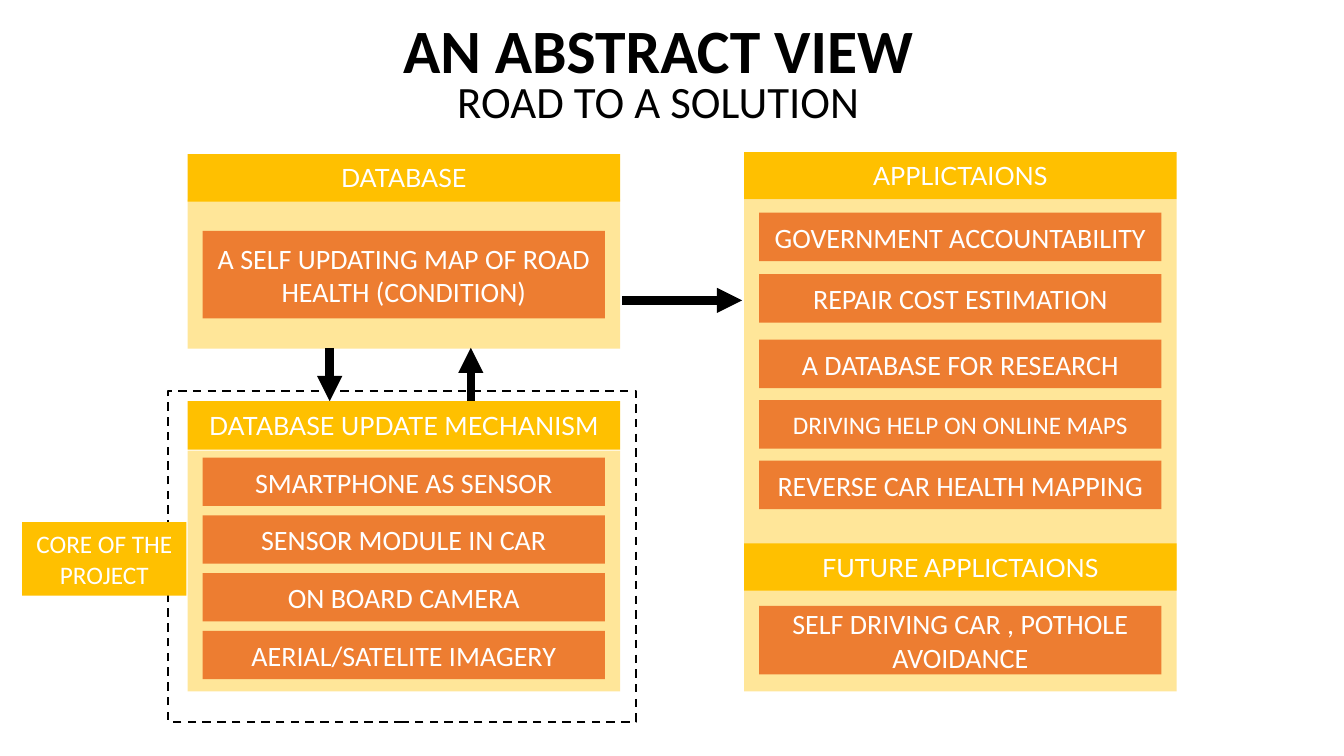
from dataclasses import dataclass

from lxml import etree
from pptx import Presentation
from pptx import util as u
from pptx.dml.color import RGBColor
from pptx.enum import dml, shapes, text
from pptx.oxml.ns import qn

COLORS = {"panel": "FFE699", "header": "FFC000", "card": "ED7D31",
          "white": "FFFFFF", "black": "000000"}
LEFT_X, RIGHT_X, PANEL_W = 1.86, 7.38, 4.29
CARD_W, CARD_H, CARD_INSET = 3.99, 0.48, 0.15


@dataclass
class Box:
    x: float
    y: float
    w: float
    h: float
    fill: str
    label: str = ""
    size: int = 20
    font: str = "Calibri"


@dataclass
class Arrow:
    x1: float
    y1: float
    x2: float
    y2: float


def panel(x: float, y: float, h: float) -> Box:
    return Box(x, y, PANEL_W, h, "panel")


def header(x: float, y: float, label: str, h: float = 0.47) -> Box:
    return Box(x, y, PANEL_W, h, "header", label, 18, "Lato")


def card(x: float, y: float, label: str, h: float = CARD_H, size: int = 20) -> Box:
    """Orange entry centred in the panel whose left edge is x."""
    return Box(x + CARD_INSET, y, CARD_W, h, "card", label, size)


def color(name: str) -> RGBColor:
    return RGBColor.from_string(COLORS[name])


def write(sp, label: str, *, size: int, font: str = "Calibri", fill: str = "white",
          bold: bool = False, spacing: float = 1.0) -> None:
    tf = sp.text_frame
    tf.word_wrap = True
    tf.vertical_anchor = text.MSO_ANCHOR.MIDDLE
    p = tf.paragraphs[0]
    p.alignment = text.PP_ALIGN.CENTER
    p.line_spacing = spacing
    p.space_before = u.Pt(0)
    r = p.add_run()
    r.text = label
    r.font.size = u.Pt(size)
    r.font.name = font
    r.font.bold = bold
    r.font.color.rgb = color(fill)


def place(sp, x: float, y: float, w: float, h: float) -> None:
    sp.left, sp.top, sp.width, sp.height = map(u.Inches, (x, y, w, h))


def draw_box(s, box: Box) -> None:
    sp = s.shapes.add_shape(shapes.MSO_SHAPE.RECTANGLE,
                            *map(u.Inches, (box.x, box.y, box.w, box.h)))
    sp.shadow.inherit = False
    sp.fill.solid()
    sp.fill.fore_color.rgb = color(box.fill)
    sp.line.fill.background()
    if box.label:
        write(sp, box.label, size=box.size, font=box.font)


def draw_arrow(s, arrow: Arrow) -> None:
    c = s.shapes.add_connector(shapes.MSO_CONNECTOR.STRAIGHT,
                               *map(u.Inches, (arrow.x1, arrow.y1, arrow.x2, arrow.y2)))
    c.line.color.rgb = color("black")
    c.line.width = u.Pt(6)
    etree.SubElement(c.line._get_or_add_ln(), qn("a:tailEnd"), type="triangle")
    etree.SubElement(c._element.spPr, qn("a:effectLst"))


def draw_core_outline(s) -> None:
    sp = s.shapes.add_shape(shapes.MSO_SHAPE.RECTANGLE,
                            *map(u.Inches, (1.67, 3.88, 4.64, 3.28)))
    sp.shadow.inherit = False
    sp.fill.background()
    sp.line.color.rgb = color("black")
    sp.line.width = u.Pt(1.5)
    sp.line.dash_style = dml.MSO_LINE.DASH


PANELS = [panel(LEFT_X, 1.98, 1.48), panel(LEFT_X, 4.47, 2.39), panel(RIGHT_X, 1.98, 4.88)]
ARROWS = [Arrow(4.67, 4.22, 4.67, 3.45), Arrow(3.27, 3.45, 3.27, 3.98),
          Arrow(6.17, 2.98, 7.36, 2.98)]
HEADERS = [
    header(LEFT_X, 1.53, "DATABASE"),
    header(LEFT_X, 3.98, "DATABASE UPDATE MECHANISM", h=0.48),
    header(RIGHT_X, 1.51, "APPLICTAIONS"),
    header(RIGHT_X, 5.39, "FUTURE APPLICTAIONS"),
]
SOURCES = ["SMARTPHONE AS SENSOR", "SENSOR MODULE IN CAR", "ON BOARD CAMERA",
           "AERIAL/SATELITE IMAGERY"]
CARDS = [
    card(LEFT_X, 2.29, "A SELF UPDATING MAP OF ROAD HEALTH (CONDITION)", h=0.87),
    *(card(LEFT_X, 4.54 + 0.573 * i, label) for i, label in enumerate(SOURCES)),
    card(RIGHT_X, 2.11, "GOVERNMENT ACCOUNTABILITY"),
    card(RIGHT_X, 2.72, "REPAIR COST ESTIMATION"),
    card(RIGHT_X, 3.37, "A DATABASE FOR RESEARCH"),
    card(RIGHT_X, 3.97, "DRIVING HELP ON ONLINE MAPS", size=18),
    card(RIGHT_X, 4.57, "REVERSE CAR HEALTH MAPPING"),
    card(RIGHT_X, 6.01, "SELF DRIVING CAR , POTHOLE AVOIDANCE", h=0.68),
]
CORE_LABEL = Box(0.22, 5.18, 1.63, 0.73, "header", "CORE OF THE PROJECT", 18)


def main() -> None:
    prs = Presentation()
    prs.slide_width, prs.slide_height = u.Inches(13.33), u.Inches(7.5)
    s = prs.slides.add_slide(prs.slide_layouts[0])

    title, subtitle = s.shapes.title, s.placeholders[1]
    place(title, 1.78, 0.08, 9.5, 0.9)
    write(title, "AN ABSTRACT VIEW", size=44, fill="black", bold=True, spacing=0.9)
    place(subtitle, 1.78, 0.72, 9.5, 0.62)
    write(subtitle, "ROAD TO A SOLUTION", size=32, fill="black", spacing=0.9)

    for box in PANELS:
        draw_box(s, box)
    for arrow in ARROWS:
        draw_arrow(s, arrow)
    for box in HEADERS + CARDS:
        draw_box(s, box)
    draw_core_outline(s)
    draw_box(s, CORE_LABEL)

    prs.save("out.pptx")


if __name__ == "__main__":
    main()
